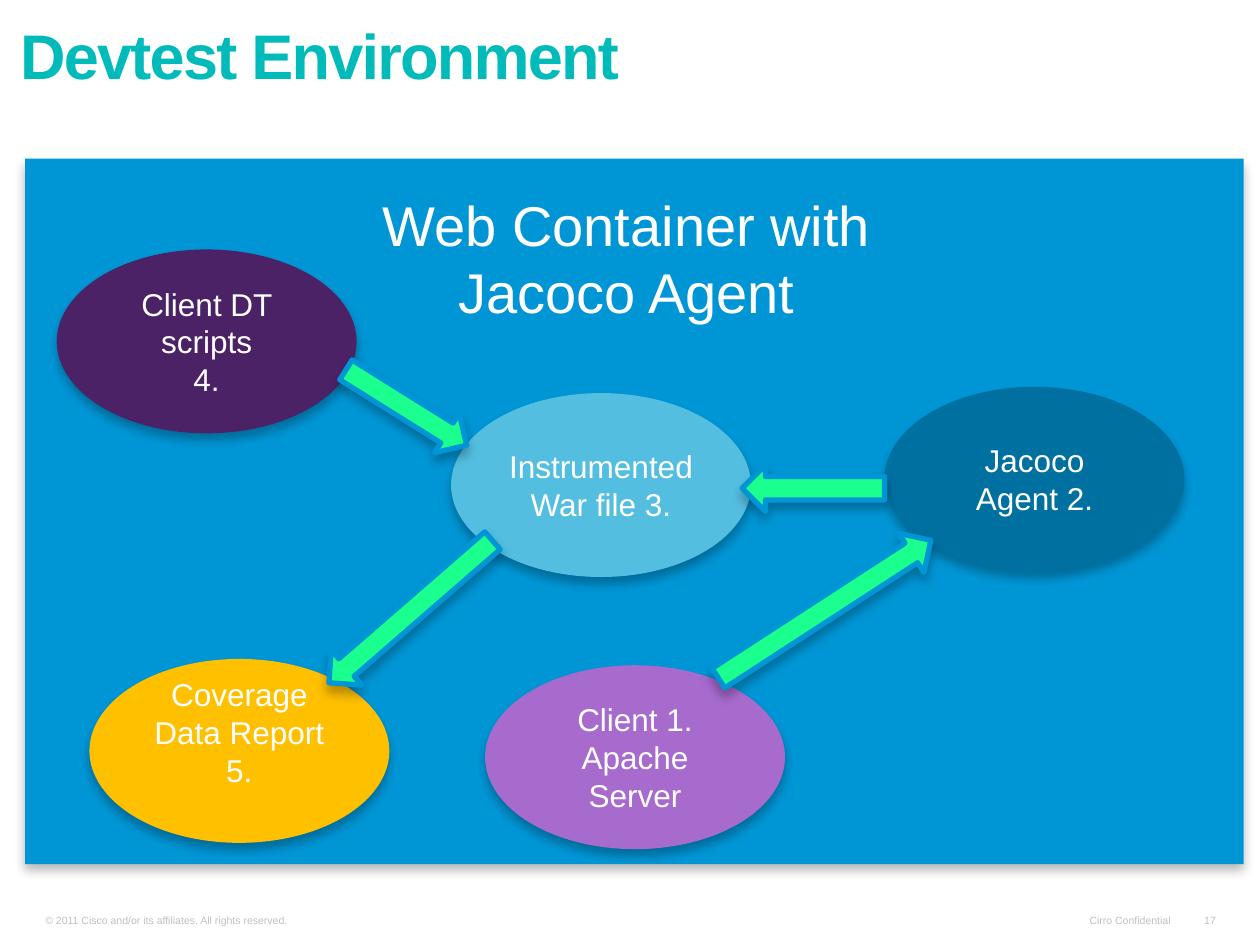
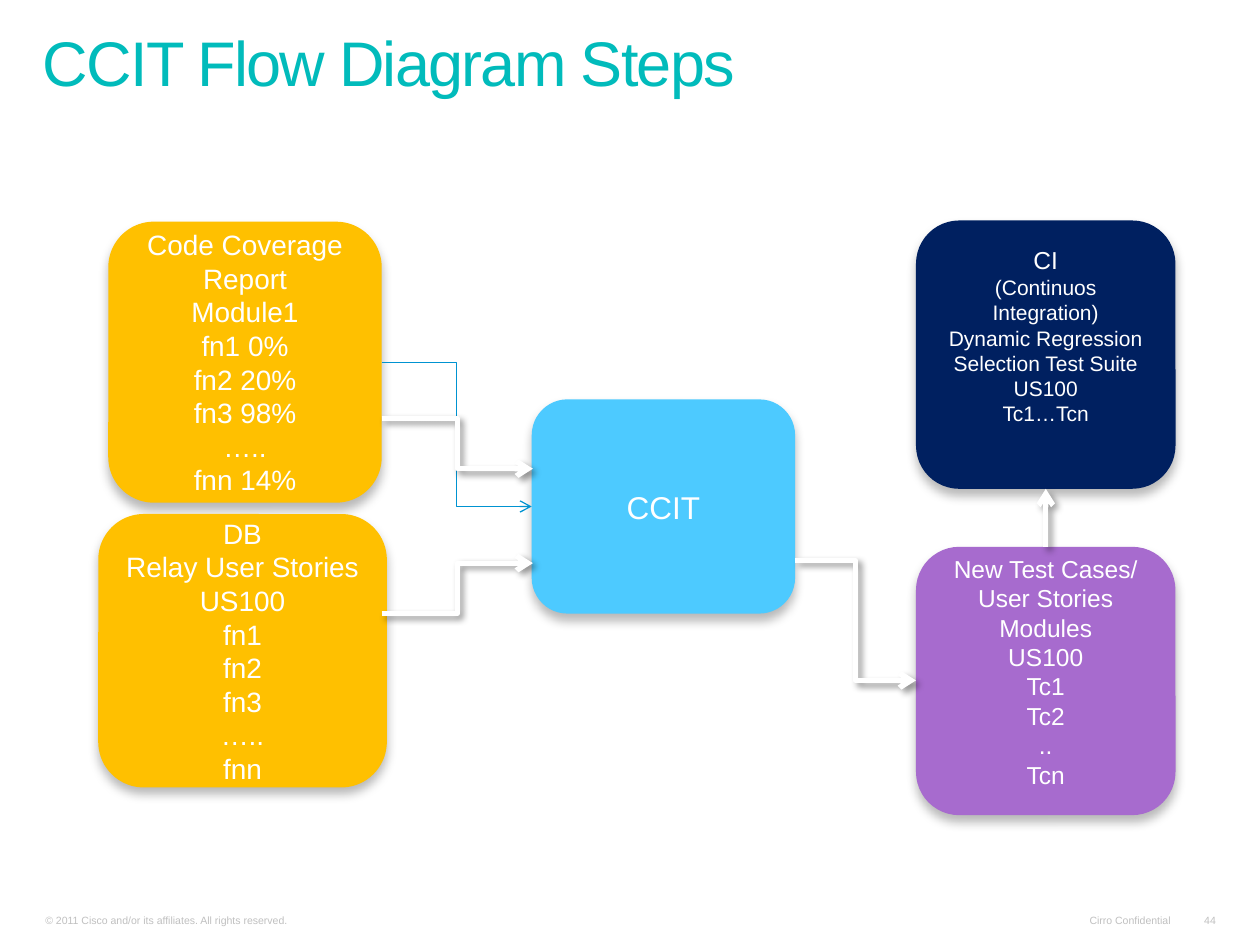
from lxml import etree
from pptx import Presentation
from pptx.dml.color import RGBColor
from pptx.enum import shapes, text
from pptx.oxml import ns
from pptx.util import Inches, Pt

FONT = "Arial"
WHITE = "FFFFFF"
TEAL = "01BBBB"
GREY = "C0C0C0"
BLUE = "0096D6"
GREEN = "1AFF8E"
AMBER = "FFC000"
PURPLE = "A76BCE"
OVAL_SIZE = (2.38, 1.46)
ARROW_HEIGHT = 0.37
BLANK_LINE = 0.3

# Shadows: opacity %, blur pt, distance pt, angle in degrees
SHAPE_SHADOW = (27, 6, 4, 90)
LINE_SHADOW = (40, 4, 3, 45)


def color(value):
    return RGBColor.from_string(value)


def add_shadow(effects, opacity, blur, distance, angle):
    """Put an outer black shadow into an effect list."""
    outer = etree.SubElement(
        effects, ns.qn("a:outerShdw"), blurRad=str(Pt(blur)),
        dist=str(Pt(distance)), dir=str(angle * 60000), rotWithShape="0")
    black = etree.SubElement(outer, ns.qn("a:srgbClr"), val="000000")
    etree.SubElement(black, ns.qn("a:alpha"), val=str(opacity * 1000))


def format_para(para, size, fill, align):
    para.alignment = align
    for span in para.runs:
        span.font.name = FONT
        span.font.size = Pt(size)
        span.font.color.rgb = color(fill)


def add_label(page, words, at, size, fill, align=text.PP_ALIGN.LEFT,
              anchor=text.MSO_ANCHOR.TOP, margin=0.05):
    """Add a one-line text box and return its paragraph."""
    frame = page.shapes.add_textbox(*map(Inches, at)).text_frame
    frame.word_wrap = True
    frame.vertical_anchor = anchor
    frame.margin_left = frame.margin_right = Inches(0.09)
    frame.margin_top = frame.margin_bottom = Inches(margin)
    frame.text = words
    format_para(frame.paragraphs[0], size, fill, align)
    return frame.paragraphs[0]


def add_page(deck, title, title_at, number, bold=False):
    """Add a page with the shared footer and title."""
    page = deck.slides.add_slide(deck.slide_layouts[6])
    right = text.PP_ALIGN.RIGHT
    footers = [
        ("© 2011 Cisco and/or its affiliates. All rights reserved.",
         0.27, 3.74, text.PP_ALIGN.LEFT),
        ("Cirro Confidential", 8.49, 0.89, right),
        (str(number), 9.46, 0.28, right),
    ]
    for words, left, width, align in footers:
        add_label(page, words, (left, 7.2, width, 0.19), 6, GREY, align,
                  text.MSO_ANCHOR.BOTTOM, 0.04)
    para = add_label(page, title, title_at, 36, TEAL)
    para.line_spacing = 0.8
    span = para.runs[0]
    span.font.bold = bold
    span._r.get_or_add_rPr().set("spc", "-100")
    return page


def add_block(page, kind, at, fill):
    """Add a filled preset shape with the shared soft shadow."""
    block = page.shapes.add_shape(kind, *map(Inches, at))
    block.fill.solid()
    block.fill.fore_color.rgb = color(fill)
    block.line.fill.background()
    block.shadow.inherit = False
    effects = block.element.spPr.find(ns.qn("a:effectLst"))
    add_shadow(effects, *SHAPE_SHADOW)
    return block


def write_lines(block, lines, size, room_below=0.0):
    """Write centred white lines, raised by the room kept below them."""
    frame = block.text_frame
    frame.word_wrap = True
    frame.vertical_anchor = text.MSO_ANCHOR.MIDDLE
    frame.margin_bottom = Inches(0.05 + room_below)
    frame.text = "\n".join(lines)
    for para in frame.paragraphs:
        format_para(para, size, WHITE, text.PP_ALIGN.CENTER)


def add_oval(page, left, top, fill, lines, room_below=0.0):
    oval = add_block(page, shapes.MSO_SHAPE.OVAL, (left, top, *OVAL_SIZE), fill)
    write_lines(oval, lines, 18, room_below)


def add_block_arrow(page, left, top, width, rotation):
    arrow = add_block(page, shapes.MSO_SHAPE.RIGHT_ARROW,
                      (left, top, width, ARROW_HEIGHT), GREEN)
    arrow.rotation = rotation
    arrow.line.color.rgb = color(BLUE)
    arrow.line.width = Pt(3)


def add_card(page, at, fill, lines, size, room_below=0.0):
    card = add_block(page, shapes.MSO_SHAPE.ROUNDED_RECTANGLE, at, fill)
    write_lines(card, lines, size, room_below)
    return card


def add_link(page, kind, ends, stroke=WHITE, width=3.0, shadow=LINE_SHADOW):
    """Add a connector with an open arrowhead at its end."""
    link = page.shapes.add_connector(kind, *map(Inches, ends))
    link.line.color.rgb = color(stroke)
    link.line.width = Pt(width)
    props = link.element.spPr
    etree.SubElement(props.find(ns.qn("a:ln")), ns.qn("a:tailEnd"), type="arrow")
    effects = etree.SubElement(props, ns.qn("a:effectLst"))
    if shadow:
        add_shadow(effects, *shadow)
    return link


def build_environment(deck):
    page = add_page(deck, "Devtest Environment", (0.07, 0.2, 9.39, 0.72), 17,
                    bold=True)
    container = add_block(page, shapes.MSO_SHAPE.RECTANGLE,
                          (0.2, 1.26, 9.67, 5.6), BLUE)
    write_lines(container, ["Web Container with", "Jacoco Agent"], 32)
    frame = container.text_frame
    frame.vertical_anchor = text.MSO_ANCHOR.TOP
    frame.margin_top = Inches(0.25)
    frame.margin_right = Inches(0.22)

    add_oval(page, 3.85, 5.28, PURPLE, ["Client 1. Apache Server"])
    add_oval(page, 7.02, 3.07, "0070A0", ["Jacoco Agent 2."])
    add_oval(page, 3.58, 3.12, "54BEE0", ["Instrumented War file 3."])
    add_oval(page, 0.45, 1.98, "4C2267", ["Client DT scripts", "4."])
    add_oval(page, 0.71, 5.23, AMBER, ["Coverage Data Report 5."], BLANK_LINE)

    for arrow in [(5.54, 4.65, 2.01, 327), (5.89, 3.69, 1.13, 180),
                  (2.66, 3.05, 1.13, 32), (2.4, 4.67, 1.72, 139)]:
        add_block_arrow(page, *arrow)


def build_flow(deck):
    page = add_page(deck, "CCIT Flow Diagram Steps", (0.25, 0.25, 9.39, 0.92), 44)
    coverage = add_card(
        page, (0.86, 1.76, 2.17, 2.23), AMBER,
        ["Code Coverage Report", "Module1", "fn1 0%", "fn2 20%", "fn3 98%",
         "…..", "fnn 14%"], 16)
    add_card(
        page, (0.78, 4.08, 2.29, 2.17), AMBER,
        ["DB", "Relay User Stories", "US100", "fn1", "fn2", "fn3", "…..", "fnn"],
        16)
    ccit = add_card(page, (4.22, 3.17, 2.09, 1.7), "4DCAFF", ["CCIT"], 18)
    new_cases = add_card(
        page, (7.27, 4.34, 2.06, 2.13), PURPLE,
        ["New Test Cases/ User Stories", "Modules", "US100", "Tc1", "Tc2", "..",
         "Tcn"], 14, 0.15)
    integration = add_card(
        page, (7.27, 1.75, 2.06, 2.13), "002060",
        ["CI", "(Continuos Integration)", "Dynamic Regression",
         "Selection Test Suite", "US100", "Tc1…Tcn"], 12, BLANK_LINE)
    integration.text_frame.paragraphs[0].runs[0].font.size = Pt(14)

    elbow = shapes.MSO_CONNECTOR.ELBOW
    thin = add_link(page, elbow, (3.03, 2.87, 4.22, 4.02), "0093D1", 0.75, None)
    thin.begin_connect(coverage, 3)
    thin.end_connect(ccit, 1)
    for ends in [(3.03, 4.87, 4.23, 4.47), (3.03, 3.32, 4.23, 3.72),
                 (6.31, 4.45, 7.27, 5.4)]:
        add_link(page, elbow, ends)
    upward = add_link(page, shapes.MSO_CONNECTOR.STRAIGHT, (8.3, 4.34, 8.3, 3.88))
    upward.begin_connect(new_cases, 0)
    upward.end_connect(integration, 2)


def main():
    deck = Presentation()
    deck.slide_width = Inches(10)
    deck.slide_height = Inches(7.5)
    build_environment(deck)
    build_flow(deck)
    deck.save("out.pptx")


if __name__ == "__main__":
    main()
